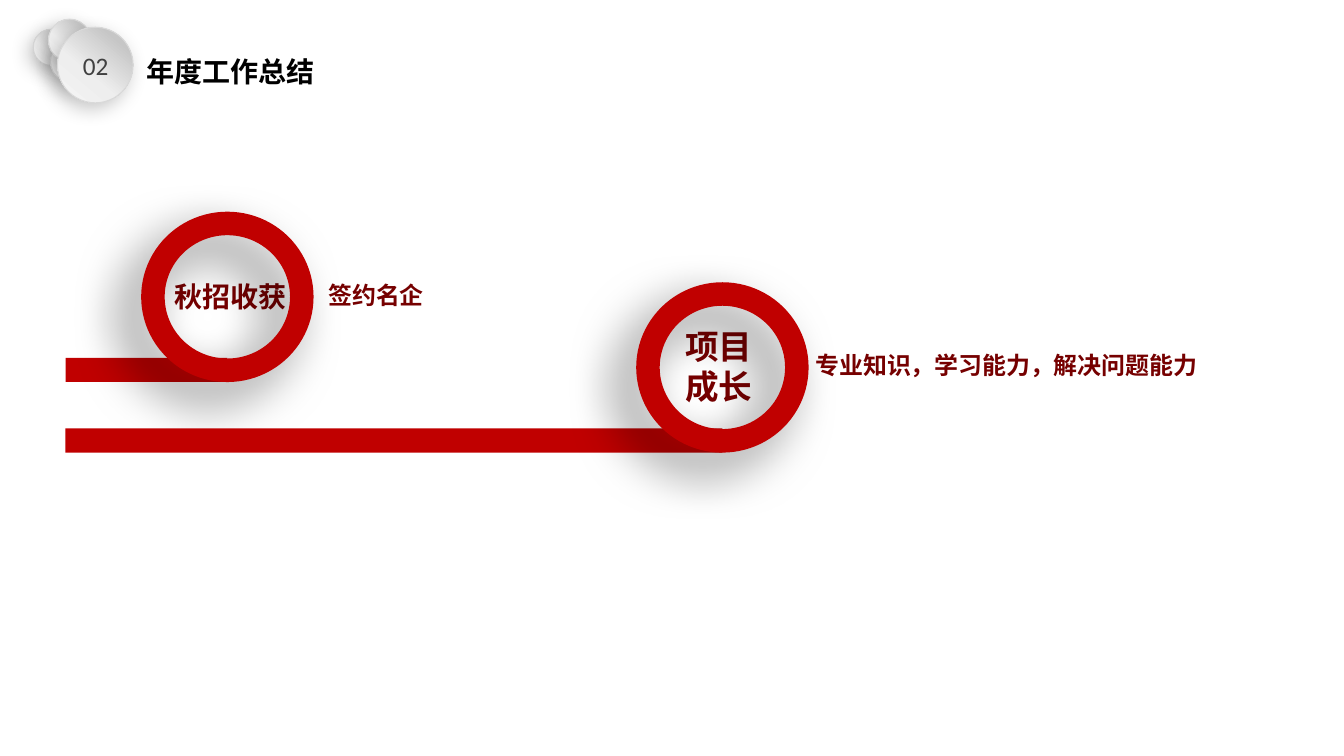
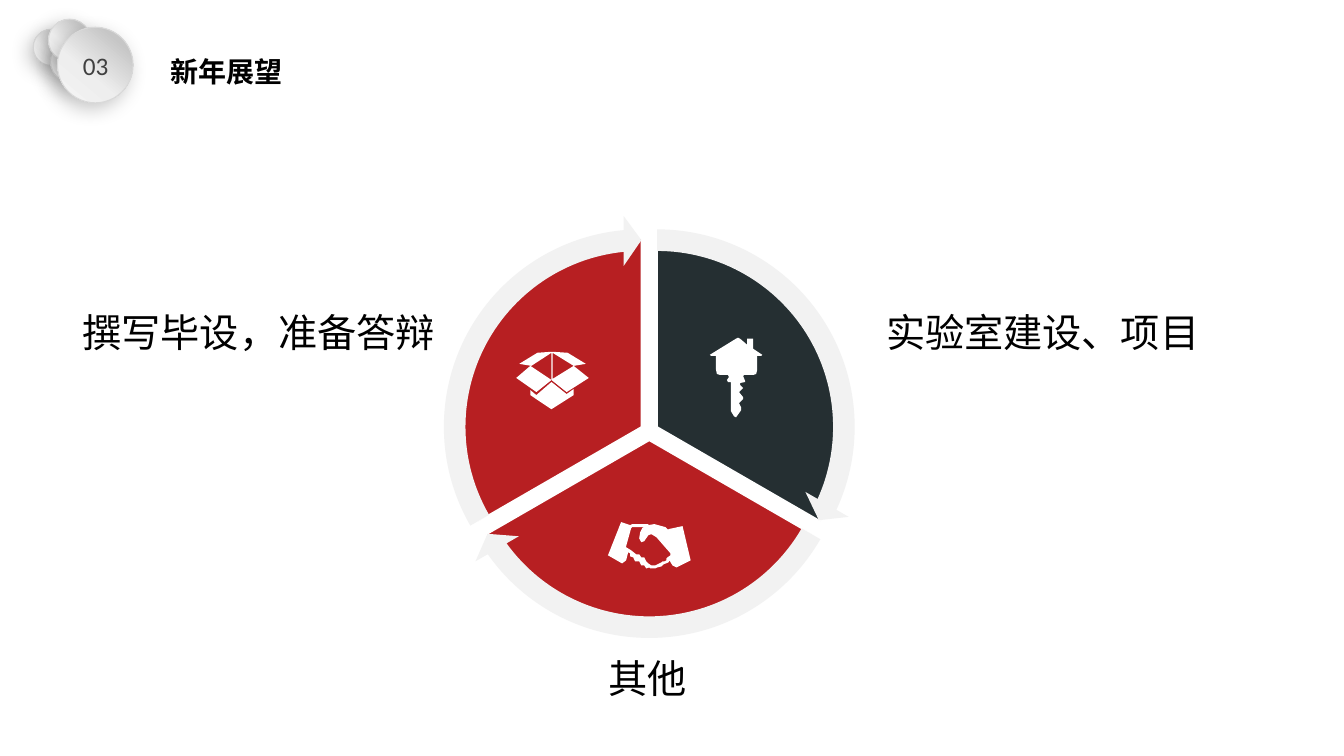
import math
from dataclasses import dataclass

import lxml.etree
import pptx
import pptx.dml.color
import pptx.enum.shapes
import pptx.enum.text
import pptx.oxml.ns
import pptx.util

Inches = pptx.util.Inches
Pt = pptx.util.Pt
qn = pptx.oxml.ns.qn
PRESET = pptx.enum.shapes.MSO_SHAPE
ALIGN = pptx.enum.text.PP_ALIGN
ANCHOR = pptx.enum.text.MSO_ANCHOR
AUTO_SIZE = pptx.enum.text.MSO_AUTO_SIZE


@dataclass(frozen=True)
class TextStyle:
    font: str
    size: float
    color: str
    bold: bool = False


@dataclass(frozen=True)
class Shadow:
    opacity: int
    blur: float
    distance: float
    angle: int


class Theme:
    ring_red = "C00000"
    sector_red = "B71F22"
    sector_dark = "252F32"
    arrow_grey = "F2F2F2"
    white = "FFFFFF"
    badge_outline = "D9D9D9"
    badge_stops = ((0, "BFBFBF"), (18, "C6C6C6"), (61, "EEEEEE"), (100, "F5F5F5"))
    badge_angle = 130
    badge_shadow = Shadow(22, 14, 5, 130)
    ring_shadow = Shadow(50, 35, 20, 135)
    title = TextStyle("Noto Sans CJK JP", 20, "000000", True)
    number = TextStyle("Calibri", 18, "404040")
    ring_small = TextStyle("Roboto Condensed", 20, "760000", True)
    ring_large = TextStyle("Roboto Condensed", 24, "760000", True)
    ring_label = TextStyle("Noto Sans CJK SC", 17.1, "760000", True)
    plan_label = TextStyle("Noto Sans CJK SC", 28, "000000")


# Icon outlines, in hundredths of an inch on the slide.
HANDSHAKE = (
    ((677, 522), (663, 525), (663, 526), (660, 523), (649, 520), (643, 521),
     (643, 520), (627, 520), (625, 521), (616, 518), (603, 551), (617, 559),
     (621, 556), (623, 548), (625, 549), (625, 552), (628, 553), (630, 557),
     (634, 557), (636, 561), (639, 561), (641, 564), (644, 563), (645, 564),
     (650, 564), (652, 563), (656, 562), (658, 560), (663, 558), (664, 556),
     (667, 561), (671, 563), (685, 556)),
    ((662, 553), (661, 554), (661, 556), (659, 557), (657, 557), (656, 558),
     (652, 560), (650, 561), (646, 561), (643, 559), (641, 557), (639, 553),
     (636, 553), (634, 550), (631, 550), (626, 546), (621, 543), (621, 542),
     (626, 524), (627, 523), (639, 523), (637, 524), (635, 528), (634, 534),
     (636, 538), (639, 537), (643, 531), (646, 530), (651, 533), (665, 549),
     (665, 551)),
)
BOX_PARTS = (
    ((547, 377), (562, 389), (584, 375), (569, 363), (548, 376), (548, 350),
     (569, 363), (581, 361), (563, 350), (548, 349), (547, 349), (533, 350),
     (515, 361), (527, 363), (547, 350)),
    ((512, 375), (532, 389), (547, 377), (526, 363)),
    ((547, 379), (532, 392), (526, 387), (526, 392), (547, 406), (569, 392),
     (569, 386), (562, 391)),
)
HOUSE_KEY = (
    (710, 366), (710, 353), (705, 353), (704, 352), (730, 336), (732, 335),
    (734, 336), (741, 342), (741, 336), (747, 336), (747, 346), (756, 352),
    (755, 353), (751, 353), (751, 367), (750, 371), (747, 372), (738, 372),
    (737, 373), (739, 378), (739, 379), (734, 380), (734, 382), (737, 385),
    (733, 389), (737, 394), (737, 396), (733, 400), (735, 404), (735, 407),
    (730, 414), (728, 413), (725, 408), (725, 379), (722, 379), (721, 377),
    (723, 374), (722, 372), (714, 372), (711, 371),
)


def rgb(color):
    return pptx.dml.color.RGBColor.from_string(color)


def add_color(parent, color):
    return lxml.etree.SubElement(parent, qn("a:srgbClr"), val=color)


def style_shape(shape, fill=None, outline=None, width=1):
    shape.shadow.inherit = False
    if fill:
        shape.fill.solid()
        shape.fill.fore_color.rgb = rgb(fill)
    else:
        shape.fill.background()
    if outline:
        shape.line.color.rgb = rgb(outline)
        shape.line.width = Pt(width)
    else:
        shape.line.fill.background()


def add_preset(shapes, preset, box, fill=None, outline=None, width=1):
    shape = shapes.add_shape(preset, *map(Inches, box))
    style_shape(shape, fill, outline, width)
    return shape


def cast_shadow(shape, shadow):
    effects = shape.element.spPr.find(qn("a:effectLst"))
    outer = lxml.etree.SubElement(
        effects, qn("a:outerShdw"), blurRad=str(Pt(shadow.blur)),
        dist=str(Pt(shadow.distance)), dir=str(shadow.angle * 60000),
        algn="ctr", rotWithShape="0")
    alpha = str(shadow.opacity * 1000)
    lxml.etree.SubElement(add_color(outer, "000000"), qn("a:alpha"), val=alpha)


def fill_gradient(shape, stops, angle):
    shape.fill.gradient()
    shape.fill.gradient_angle = 360 - angle
    stop_list = shape.element.spPr.find(".//" + qn("a:gsLst"))
    for stop in list(stop_list):
        stop_list.remove(stop)
    for position, color in stops:
        stop = lxml.etree.SubElement(stop_list, qn("a:gs"), pos=str(position * 1000))
        add_color(stop, color)


def write(shape, text, style, align=ALIGN.LEFT, anchor=ANCHOR.TOP, wrap=True):
    frame = shape.text_frame
    frame.word_wrap = wrap
    frame.auto_size = AUTO_SIZE.NONE
    frame.vertical_anchor = anchor
    frame.margin_left = frame.margin_right = Inches(0.1)
    frame.margin_top = frame.margin_bottom = Inches(0.05)
    paragraph = frame.paragraphs[0]
    paragraph.alignment = align
    run = paragraph.add_run()
    run.text = text
    run.font.name = style.font
    run.font.size = Pt(style.size)
    run.font.bold = style.bold
    run.font.color.rgb = rgb(style.color)
    # East Asian glyphs take their typeface from a separate element.
    lxml.etree.SubElement(run._r.get_or_add_rPr(), qn("a:ea"), typeface=style.font)


def add_label(shapes, text, box, style, align=ALIGN.LEFT):
    write(shapes.add_textbox(*map(Inches, box)), text, style, align, wrap=False)


def add_icon(shapes, *contours):
    """Draw one white outline; further contours cut holes."""
    builder = shapes.build_freeform(*contours[0][0], scale=Inches(0.01))
    for index, contour in enumerate(contours):
        if index:
            builder.move_to(*contour[0])
        builder.add_line_segments(contour[1:], close=True)
    style_shape(builder.convert_to_shape(), Theme.white)


def add_section_slide(deck, number, title, title_width):
    """Add a slide with the numbered badge and the section title."""
    slide = deck.slides.add_slide(deck.slide_layouts[5])
    heading = slide.shapes.title
    heading.left, heading.top = Inches(1.32), Inches(0.49)
    heading.width, heading.height = Inches(title_width), Inches(0.44)
    write(heading, title, Theme.title, ALIGN.CENTER)

    badge = slide.shapes.add_group_shape().shapes
    for left, top, size in ((0.33, 0.29, 0.36), (0.5, 0.4, 0.42),
                            (0.48, 0.19, 0.42), (0.57, 0.27, 0.75)):
        disc = add_preset(badge, PRESET.OVAL, (left, top, size, size),
                          outline=Theme.badge_outline, width=0.75)
        fill_gradient(disc, Theme.badge_stops, Theme.badge_angle)
        cast_shadow(disc, Theme.badge_shadow)
    add_label(slide.shapes, number, (0.72, 0.45, 0.46, 0.4), Theme.number, ALIGN.CENTER)
    return slide


def add_milestone(shapes, left, top, caption, caption_style, caption_span,
                  label, label_span):
    """Draw a ring on a bar from the left margin; spans are (left, width)."""
    ring_width, ring_height, thickness, bar_left = 1.71, 1.69, 0.24, 0.65
    caption_left, caption_width = caption_span
    label_left, label_width = label_span
    core = add_preset(shapes, PRESET.OVAL,
                      (caption_left, top + 0.22, caption_width, 1.23))
    write(core, caption, caption_style, ALIGN.CENTER, ANCHOR.MIDDLE)
    add_preset(shapes, PRESET.RECTANGLE,
               (bar_left, top + ring_height - thickness,
                left + ring_width / 2 - bar_left, thickness), Theme.ring_red)
    ring = add_preset(shapes, PRESET.DONUT, (left, top, ring_width, ring_height),
                      Theme.ring_red)
    ring.adjustments[0] = 0.138
    cast_shadow(ring, Theme.ring_shadow)
    add_label(shapes, label, (label_left, top + 0.63, label_width, 0.4),
              Theme.ring_label)


def set_adjustments(shape, values):
    for index, value in enumerate(values):
        shape.adjustments[index] = value


def add_wheel(shapes, hub_x, hub_y, colors):
    """Draw equal sectors pushed off the hub, each with a rim arrow."""
    sector_radius, arrow_radius, offset = 1.87, 2.1, 0.09
    angle_unit = 0.6  # adjustment value of one degree
    sweep = 360 / len(colors)
    wheel = shapes.add_group_shape().shapes
    sectors = []
    for index, color in enumerate(colors):
        start = (270 + index * sweep) % 360
        middle = math.radians(start + sweep / 2)
        center = (hub_x + offset * math.cos(middle), hub_y + offset * math.sin(middle))
        sectors.append((center, start, color))

    def centered(center, radius):
        return (center[0] - radius, center[1] - radius, 2 * radius, 2 * radius)

    for center, start, color in sectors:
        sector = add_preset(wheel, PRESET.PIE, centered(center, sector_radius),
                            color, Theme.white)
        set_adjustments(sector, (start * angle_unit, (start + sweep) % 360 * angle_unit))
    for center, start, _ in sectors:
        arrow = add_preset(wheel, PRESET.CIRCULAR_ARROW,
                           centered(center, arrow_radius), Theme.arrow_grey)
        head = (start + sweep - 5.46) % 360
        set_adjustments(arrow, (0.051, 3.275, head * angle_unit,
                                start * angle_unit, 0.059))


def build_summary(deck):
    shapes = add_section_slide(deck, "02", "年度工作总结", 1.94).shapes
    add_milestone(shapes, 1.4, 2.1, "秋招收获", Theme.ring_small, (1.18, 2.21),
                  "签约名企", (3.16, 1.2))
    add_milestone(shapes, 6.31, 2.8, "项目成长", Theme.ring_large, (6.31, 1.64),
                  "专业知识，学习能力，解决问题能力", (7.99, 4.04))


def build_outlook(deck):
    shapes = add_section_slide(deck, "03", "新年展望", 1.86).shapes
    add_wheel(shapes, 6.44, 4.28,
              (Theme.sector_dark, Theme.sector_red, Theme.sector_red))
    add_icon(shapes, *HANDSHAKE)
    box_icon = shapes.add_group_shape().shapes
    for part in BOX_PARTS:
        add_icon(box_icon, part)
    add_icon(shapes, HOUSE_KEY)
    for plan, left, top, width in (("撰写毕设，准备答辩", 0.72, 3.01, 3.74),
                                   ("实验室建设、项目", 8.69, 3.01, 3.34),
                                   ("其他", 5.94, 6.44, 0.98)):
        add_label(shapes, plan, (left, top, width, 0.57), Theme.plan_label)


def main():
    deck = pptx.Presentation()
    deck.slide_width, deck.slide_height = Inches(13.33), Inches(7.5)
    build_summary(deck)
    build_outlook(deck)
    deck.save("out.pptx")


if __name__ == "__main__":
    main()
